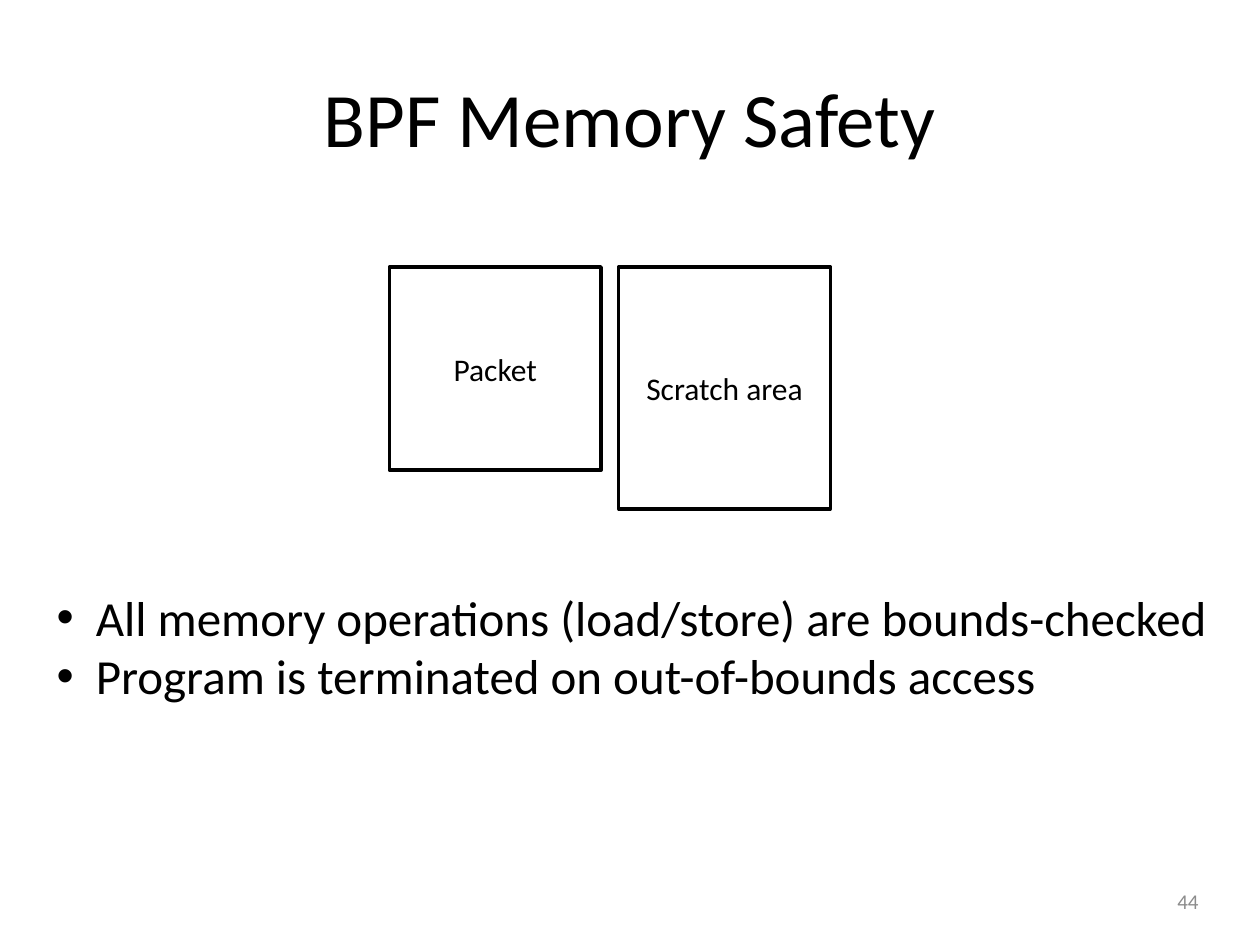
from pptx import Presentation
from pptx.dml.color import RGBColor
from pptx.enum.shapes import MSO_SHAPE as Shape
from pptx.enum.text import MSO_ANCHOR as Anchor, PP_ALIGN as Align
from pptx.oxml.xmlchemy import OxmlElement as Element
from pptx.util import Pt

BLACK = RGBColor(0, 0, 0)
WHITE = RGBColor(255, 255, 255)
GRAY = RGBColor(0x8C, 0x8C, 0x8C)
FONT = "Calibri"


def set_bullet(para, indent):
    props = para._p.get_or_add_pPr()
    props.set("marL", str(Pt(indent)))
    props.set("indent", str(-Pt(indent)))
    font = Element("a:buFont")
    font.set("typeface", "Arial")
    mark = Element("a:buChar")
    mark.set("char", "•")
    props.extend([font, mark])


def write(frame, *lines, size=18, color=BLACK, align=Align.LEFT,
          anchor=Anchor.TOP, wrap=True, indent=0):
    """Fill a text frame with one paragraph per line."""
    frame.word_wrap = wrap
    frame.vertical_anchor = anchor
    for i, line in enumerate(lines):
        para = frame.add_paragraph() if i else frame.paragraphs[0]
        para.text = line
        para.alignment = align
        if indent:
            set_bullet(para, indent)
        font = para.font
        font.name, font.size, font.color.rgb = FONT, Pt(size), color


def add_title(slide, left, top, width, height):
    title = slide.shapes.title
    title.left, title.top = Pt(left), Pt(top)
    title.width, title.height = Pt(width), Pt(height)
    write(title.text_frame, "BPF Memory Safety", size=44,
          align=Align.CENTER, anchor=Anchor.MIDDLE)


def add_blocks(slide, left, top, width, height):
    """Draw the memory areas side by side, aligned at the top."""
    gap = 10
    areas = [("Packet", 0.84), ("Scratch area", 1)]
    side = (width - gap * (len(areas) - 1)) / len(areas)
    for i, (name, share) in enumerate(areas):
        block = slide.shapes.add_shape(
            Shape.RECTANGLE, Pt(left + i * (side + gap)), Pt(top),
            Pt(side), Pt(height * share))
        block.shadow.inherit = False
        block.fill.solid()
        block.fill.fore_color.rgb = WHITE
        block.line.color.rgb = BLACK
        block.line.width = Pt(2)
        write(block.text_frame, name, align=Align.CENTER,
              anchor=Anchor.MIDDLE)


def add_text(slide, left, top, width, height, *lines, **style):
    box = slide.shapes.add_textbox(Pt(left), Pt(top), Pt(width), Pt(height))
    write(box.text_frame, *lines, **style)


def main():
    deck = Presentation()
    deck.slide_width, deck.slide_height = Pt(720), Pt(540)
    slide = deck.slides.add_slide(deck.slide_layouts[5])
    add_title(slide, 36, 21.6, 648, 90)
    add_blocks(slide, 222.5, 152.6, 252, 138.2)
    add_text(slide, 25.2, 332, 680, 75,
             "All memory operations (load/store) are bounds-checked",
             "Program is terminated on out-of-bounds access",
             size=28, wrap=False, indent=22.5)
    add_text(slide, 617, 500.5, 75, 28.8, "44", size=12, color=GRAY,
             align=Align.RIGHT, anchor=Anchor.MIDDLE)
    deck.save("out.pptx")


if __name__ == "__main__":
    main()
